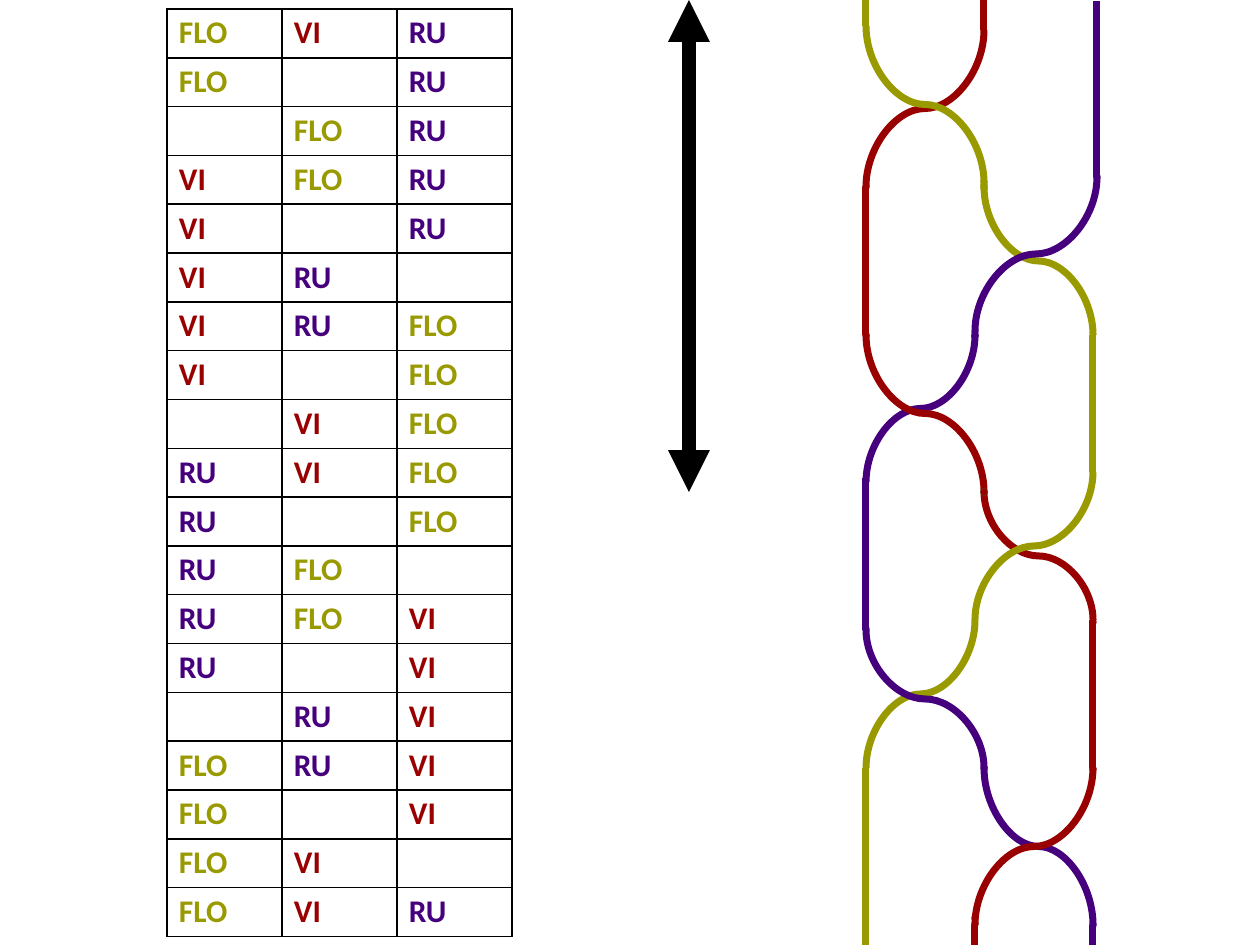
from lxml import etree
from pptx import Presentation
from pptx import util as u
from pptx.dml.color import RGBColor
from pptx.enum import shapes
from pptx.oxml import ns

COLOURS = {"FLO": "999900", "VI": "990000", "RU": "46007D",
           "black": "000000", "green": "00B050"}
PX = 914400 / 126


def px(length):
    return u.Emu(round(length * PX))


def write(frame, text, font="Calibri", size=18, bold=True, colour="black"):
    span = frame.paragraphs[0].add_run()
    span.text = text
    span.font.name = font
    span.font.size = u.Pt(size)
    span.font.bold = bold
    span.font.color.rgb = RGBColor.from_string(COLOURS[colour])


class Board:
    strand_width = 4
    dot_size = 6
    border_width = 1

    def __init__(self, page):
        self.page = page

    def border(self, cell):
        properties = cell._tc.get_or_add_tcPr()
        for side in ("a:lnL", "a:lnR", "a:lnT", "a:lnB"):
            edge = etree.SubElement(properties, ns.qn(side), w=str(u.Pt(self.border_width)))
            fill = etree.SubElement(edge, ns.qn("a:solidFill"))
            etree.SubElement(fill, ns.qn("a:srgbClr"), val=COLOURS["black"])

    def table(self, rows, left, top, width, height):
        frame = self.page.shapes.add_table(len(rows), len(rows[0]), px(left), px(top),
                                           px(width), px(height))
        grid = frame.table
        grid.first_row = grid.horz_banding = False
        for row, names in zip(grid.rows, rows):
            row.height = px(height) // len(rows)
            for cell, name in zip(row.cells, names):
                cell.margin_left = cell.margin_right = px(12)
                cell.margin_top = cell.margin_bottom = px(5)
                self.border(cell)
                cell.fill.background()
                if name in COLOURS:
                    write(cell.text_frame, name, colour=name)

    def connector(self, kind, colour, points, width):
        line = self.page.shapes.add_connector(kind, *map(px, points))
        line.line.color.rgb = RGBColor.from_string(COLOURS[colour])
        line.line.width = u.Pt(width)
        etree.SubElement(line._element.spPr, ns.qn("a:effectLst"))
        return line

    def straight(self, colour, *points, width=strand_width):
        return self.connector(shapes.MSO_CONNECTOR.STRAIGHT, colour, points, width)

    def curve(self, colour, x1, y1, x2, y2):
        # An S that leaves and arrives vertically: a sideways S turned a quarter
        middle_x, middle_y = (x1 + x2) / 2, (y1 + y2) / 2
        half_x, half_y = (y2 - y1) / 2, abs(x2 - x1) / 2
        if x2 > x1:
            half_x, turn = -half_x, 270
        else:
            turn = 90
        points = (middle_x - half_x, middle_y - half_y, middle_x + half_x, middle_y + half_y)
        line = self.connector(shapes.MSO_CONNECTOR.CURVE, colour, points, self.strand_width)
        line._element.spPr.find(ns.qn("a:xfrm")).set("rot", str(turn * 60000))

    def strand(self, colour, x1, y1, x2, y2):
        draw = self.straight if x1 == x2 else self.curve
        draw(colour, x1, y1, x2, y2)

    def double_arrow(self, colour, *points, width):
        line = self.straight(colour, *points, width=width)
        outline = line.line._get_or_add_ln()
        for end in ("a:headEnd", "a:tailEnd"):
            etree.SubElement(outline, ns.qn(end), type="triangle")

    def dot(self, colour, x, y):
        half = self.dot_size / 2
        dot = self.page.shapes.add_shape(shapes.MSO_SHAPE.OVAL, px(x - half), px(y - half),
                                         px(self.dot_size), px(self.dot_size))
        dot.shadow.inherit = False
        shade = RGBColor.from_string(COLOURS[colour])
        dot.fill.solid()
        dot.fill.fore_color.rgb = shade
        dot.line.color.rgb = shade
        dot.line.width = 0


# Order of the three strands at each step; "-" marks a crossing
STEPS = """FLO VI RU
FLO - RU
- FLO RU
VI FLO RU
VI - RU
VI RU -
VI RU FLO
VI - FLO
- VI FLO
RU VI FLO
RU - FLO
RU FLO -
RU FLO VI
RU - VI
- RU VI
FLO RU VI
FLO - VI
FLO VI -
FLO VI RU"""

# Lanes of the braid: the middle one has a left and a right edge
LEFT, MID_L, MID_R, RIGHT, EDGE = 866, 975, 984, 1093, 1097

STRANDS = [
    ("VI", MID_R, 492, RIGHT, 620), ("RU", MID_L, 335, LEFT, 482),
    ("FLO", MID_R, 187, RIGHT, 335), ("VI", MID_R, 30, LEFT, 187),
    ("FLO", LEFT, 26, MID_R, 183), ("VI", LEFT, 187, LEFT, 335),
    ("RU", EDGE, 30, EDGE, 177), ("RU", EDGE, 177, MID_L, 331),
    ("FLO", RIGHT, 335, RIGHT, 472), ("VI", LEFT, 335, MID_R, 492),
    ("RU", LEFT, 478, LEFT, 630), ("FLO", RIGHT, 472, MID_L, 620),
    ("VI", RIGHT, 620, RIGHT, 768), ("FLO", MID_L, 620, LEFT, 768),
    ("RU", LEFT, 630, MID_R, 768), ("FLO", LEFT, 768, LEFT, 945),
    ("RU", MID_R, 768, RIGHT, 925), ("VI", RIGHT, 768, MID_L, 925),
    ("VI", MID_L, 925, MID_L, 945), ("RU", RIGHT, 925, RIGHT, 945),
]
JOINTS = [
    ("green", MID_R, 492), ("VI", RIGHT, 622), ("VI", RIGHT, 769), ("VI", MID_L, 924),
    ("RU", RIGHT, 925), ("RU", MID_R, 768), ("RU", LEFT, 629), ("RU", MID_L, 336),
    ("RU", EDGE, 177), ("VI", LEFT, 187), ("VI", LEFT, 335), ("VI", MID_R, 492),
    ("VI", MID_L, 918), ("FLO", MID_R, 185), ("FLO", MID_R, 188),
]
TOP_ENDS = [("VI", MID_R, 0, MID_R, 30), ("RU", EDGE, 1, EDGE, 30),
            ("FLO", LEFT, 0, LEFT, 26)]
TOP_JOINTS = [("FLO", MID_R, 182), ("FLO", MID_R, 186), ("RU", MID_L, 335),
              ("RU", MID_L, 332)]


def main():
    deck = Presentation()
    deck.slide_width, deck.slide_height = px(1260), px(945)
    board = Board(deck.slides.add_slide(deck.slide_layouts[6]))

    # Table of steps and the arrow for one cycle
    board.table([line.split() for line in STEPS.splitlines()], 167, 9, 345, 928)
    board.double_arrow("black", 689, 0, 689, 492, width=8)

    # Braid, from back to front
    for strands, joints in ((STRANDS, JOINTS), (TOP_ENDS, TOP_JOINTS)):
        for strand in strands:
            board.strand(*strand)
        for joint in joints:
            board.dot(*joint)

    deck.save("out.pptx")


if __name__ == "__main__":
    main()
